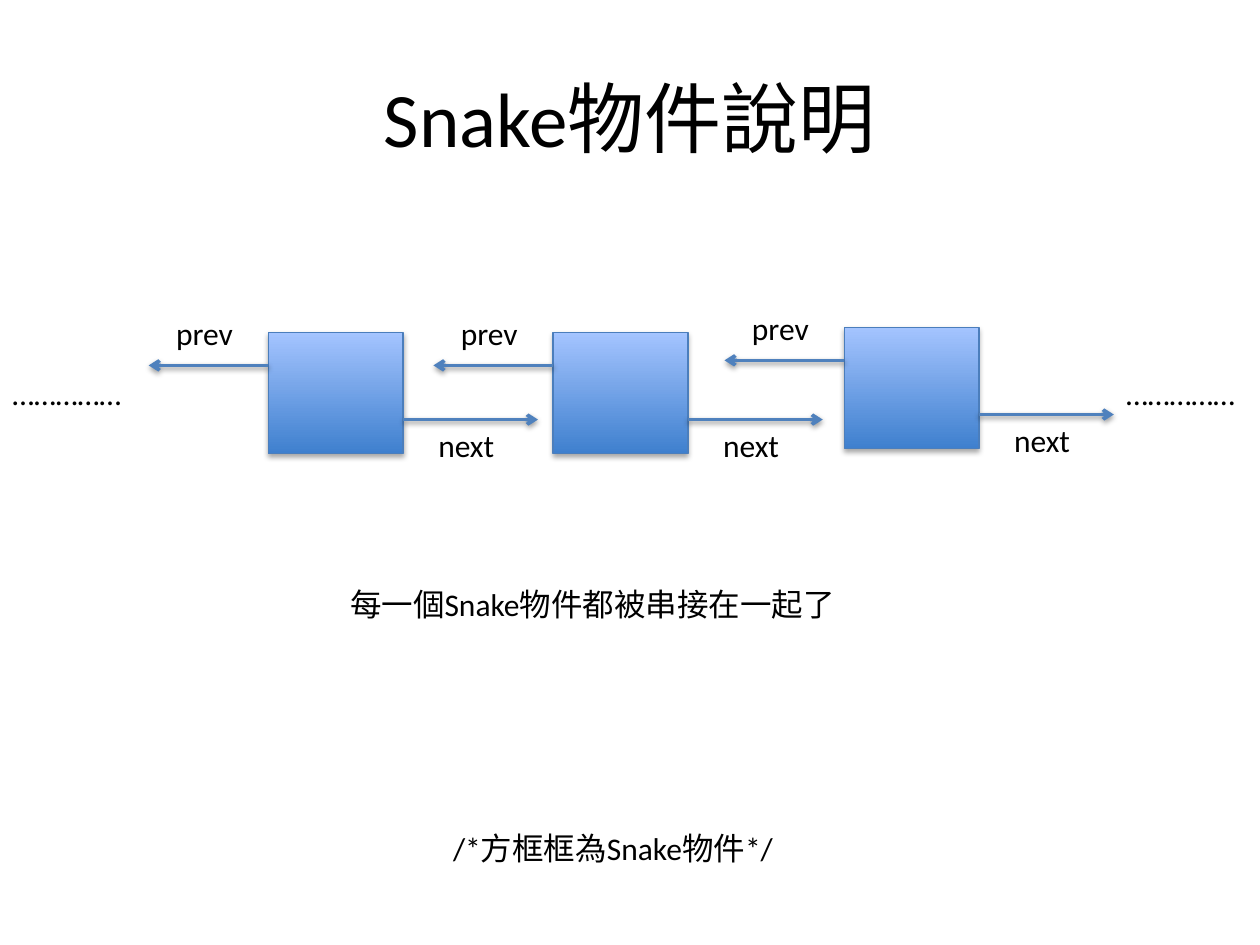
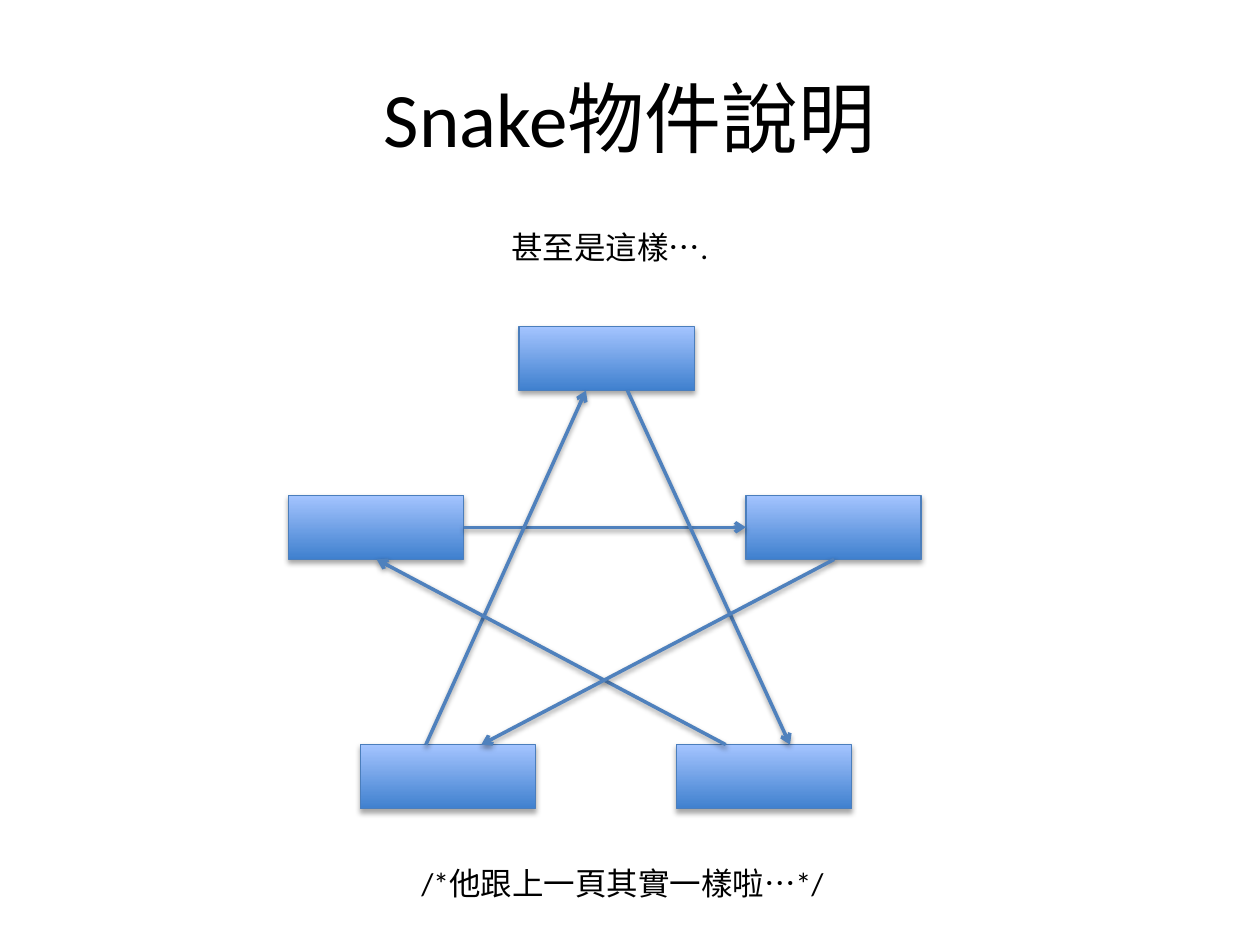
from lxml.etree import SubElement
from pptx import Presentation
from pptx.dml.color import RGBColor
from pptx.enum.shapes import MSO_CONNECTOR, MSO_SHAPE
from pptx.enum.text import MSO_ANCHOR, MSO_AUTO_SIZE, PP_ALIGN
from pptx.oxml import parse_xml
from pptx.oxml.ns import nsdecls, qn
from pptx.util import Inches, Pt

BLACK = RGBColor(0x00, 0x00, 0x00)
BOX_BOTTOM = RGBColor(0x3F, 0x80, 0xCE)
BOX_TOP = RGBColor(0xA4, 0xC4, 0xFF)
BOX_LINE = RGBColor(0x4B, 0x7E, 0xBC)
ARROW_LINE = RGBColor(0x4F, 0x81, 0xBD)
FONT = "Calibri"
TITLE = "Snake物件說明"
DOTS = "…" * 5


def add_shadow(shape, opacity, distance):
    """Cast a soft black shadow straight down."""
    shape._element.spPr.append(parse_xml(
        f'<a:effectLst {nsdecls("a")}>'
        f'<a:outerShdw blurRad="{Pt(3.1)}" dist="{Pt(distance)}" dir="5400000" rotWithShape="0">'
        f'<a:srgbClr val="000000"><a:alpha val="{opacity * 1000}"/></a:srgbClr>'
        '</a:outerShdw></a:effectLst>'))


class Deck:
    def __init__(self):
        self.presentation = Presentation()
        self.presentation.slide_width = Inches(10)
        self.presentation.slide_height = Inches(7.5)
        self.slide = None

    def new_slide(self, title):
        layout = self.presentation.slide_layouts.get_by_name("Title Only")
        self.slide = self.presentation.slides.add_slide(layout)
        shape = self.slide.shapes.title
        shape.left, shape.top = Inches(0.5), Inches(0.3)
        shape.width, shape.height = Inches(9), Inches(1.25)
        shape.text_frame.vertical_anchor = MSO_ANCHOR.MIDDLE
        self.set_text(shape, title, 44, PP_ALIGN.CENTER)

    def set_text(self, shape, text, size, align):
        shape.text_frame.text = text
        paragraph = shape.text_frame.paragraphs[0]
        paragraph.alignment = align
        paragraph.font.name = FONT
        paragraph.font.size = Pt(size)
        paragraph.font.color.rgb = BLACK

    def text(self, text, left, top, width, align=PP_ALIGN.LEFT):
        shape = self.slide.shapes.add_textbox(
            Inches(left), Inches(top), Inches(width), Inches(0.4))
        shape.text_frame.word_wrap = True
        shape.text_frame.auto_size = MSO_AUTO_SIZE.SHAPE_TO_FIT_TEXT
        self.set_text(shape, text, 18, align)

    def box(self, left, top, width, height):
        shape = self.slide.shapes.add_shape(
            MSO_SHAPE.RECTANGLE, Inches(left), Inches(top), Inches(width), Inches(height))
        shape.fill.gradient()
        shape.fill.gradient_angle = 90
        for stop, color, position in zip(
                shape.fill.gradient_stops, (BOX_BOTTOM, BOX_TOP), (0, 1)):
            stop.color.rgb = color
            stop.position = position
        shape.line.color.rgb = BOX_LINE
        shape.line.width = Pt(0.75)
        add_shadow(shape, 35, 1.8)

    def arrow(self, start, end):
        connector = self.slide.shapes.add_connector(
            MSO_CONNECTOR.STRAIGHT, *map(Inches, start + end))
        connector.line.color.rgb = ARROW_LINE
        connector.line.width = Pt(2)
        SubElement(connector.line._get_or_add_ln(), qn("a:tailEnd"), type="arrow")
        add_shadow(connector, 38, 1.6)

    def linked_node(self, left, top):
        """A square with its prev and next arrows."""
        width, height = 1.07, 0.96
        right, prev_y, next_y = left + width, top + 0.26, top + 0.69
        self.box(left, top, width, height)
        self.arrow((right, next_y), (right + 1.07, next_y))
        self.arrow((left, prev_y), (left - 0.95, prev_y))
        self.text("prev", left - 0.83, top - 0.2, 1.16)
        self.text("next", right + 0.18, next_y, 0.89)


deck = Deck()

# Slide 1: a chain of linked nodes
deck.new_slide(TITLE)
for left, top in ((2.13, 2.64), (4.39, 2.64), (6.7, 2.6)):
    deck.linked_node(left, top)
for left in (8.84, 0):
    deck.text(DOTS, left, 2.92, 1.16)
deck.text("每一個Snake物件都被串接在一起了", 2.68, 4.59, 4.55)
deck.text("/*方框框為Snake物件*/", 1.31, 6.53, 7.11, PP_ALIGN.CENTER)

# Slide 2: five nodes linked as a star
deck.new_slide(TITLE)
deck.text("甚至是這樣….", 3.96, 1.76, 2.21)
NODE_WIDTH, NODE_HEIGHT = 1.39, 0.51
TOP_ROW, MIDDLE_ROW, BOTTOM_ROW = 2.59, 3.93, 5.91
for left, top in ((4.12, TOP_ROW), (2.29, MIDDLE_ROW), (5.92, MIDDLE_ROW),
                  (2.86, BOTTOM_ROW), (5.37, BOTTOM_ROW)):
    deck.box(left, top, NODE_WIDTH, NODE_HEIGHT)

top_edge = TOP_ROW + NODE_HEIGHT
middle_edge = MIDDLE_ROW + NODE_HEIGHT
center_line = MIDDLE_ROW + NODE_HEIGHT / 2
for start, end in (
        ((3.68, center_line), (5.92, center_line)),
        ((3.38, BOTTOM_ROW), (4.65, top_edge)),
        ((4.98, top_edge), (6.27, BOTTOM_ROW)),
        ((5.76, BOTTOM_ROW), (2.99, middle_edge)),
        ((6.62, middle_edge), (3.82, BOTTOM_ROW))):
    deck.arrow(start, end)
deck.text("/*他跟上一頁其實一樣啦…*/", 1.44, 6.81, 7, PP_ALIGN.CENTER)

deck.presentation.save("out.pptx")
